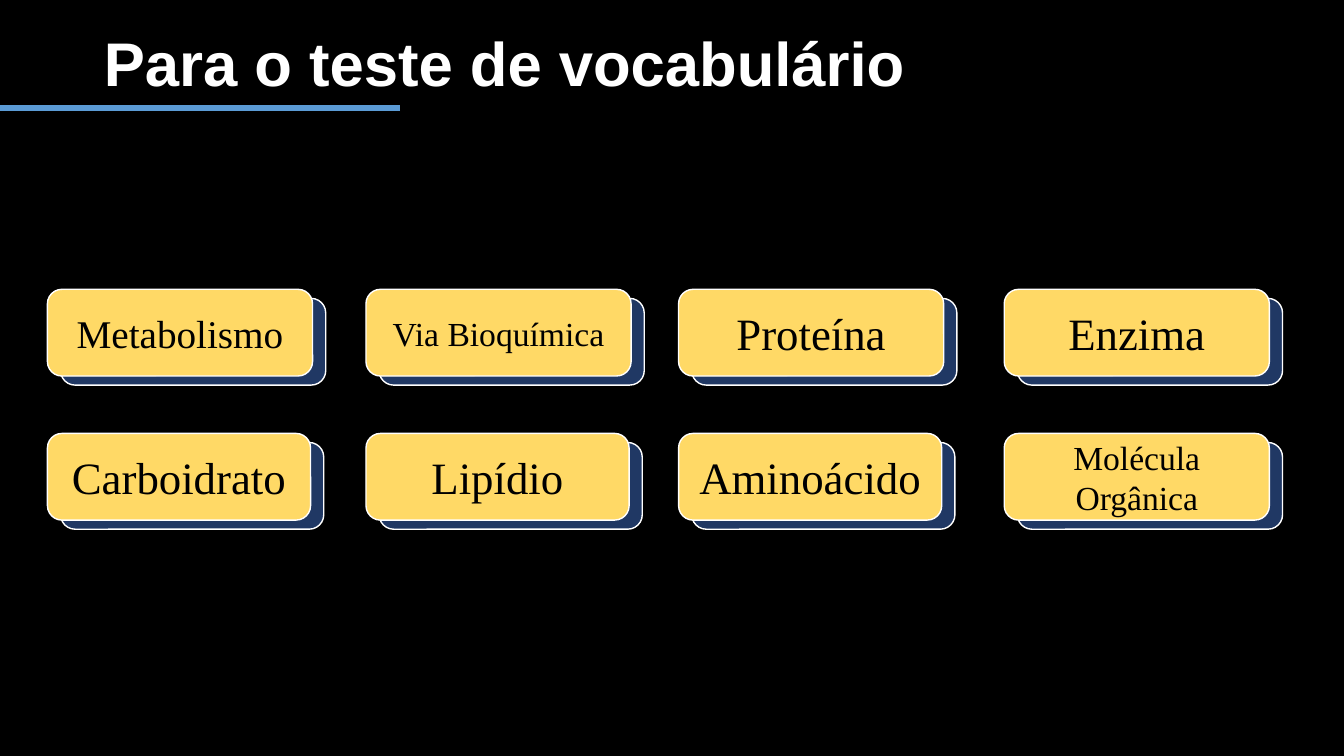
from pptx import Presentation, util as u
from pptx.dml.color import RGBColor
from pptx.enum import shapes, text
from pptx.oxml.ns import qn

BLACK = RGBColor(0x00, 0x00, 0x00)
WHITE = RGBColor(0xFF, 0xFF, 0xFF)
BLUE = RGBColor(0x5B, 0x9B, 0xD5)
NAVY = RGBColor(0x20, 0x38, 0x64)
YELLOW = RGBColor(0xFF, 0xD9, 0x66)

# Lengths are percentages of the slide's width (x) and height (y).
COLUMNS = (3.53, 27.23, 50.49, 74.72)
ROWS = (38.27, 57.33)
WIDE, NARROW, CARD_HEIGHT = 19.73, 19.58, 11.47
BACK_DX, BACK_DY = 0.98, 1.2

# Each card: word, font size, width
WORDS = (
    (("Metabolismo", 28, WIDE), ("Via Bioquímica", 24, WIDE),
     ("Proteína", 32, WIDE), ("Enzima", 32, WIDE)),
    (("Carboidrato", 32, NARROW), ("Lipídio", 32, NARROW),
     ("Aminoácido", 32, NARROW), ("Molécula Orgânica", 24, WIDE)),
)


class VocabularySlide:
    def __init__(self, prs):
        self.width, self.height = prs.slide_width, prs.slide_height
        self.slide = prs.slides.add_slide(prs.slide_layouts[6])
        fill = self.slide.background.fill
        fill.solid()
        fill.fore_color.rgb = BLACK

    def x(self, share):
        return u.Emu(round(self.width * share / 100))

    def y(self, share):
        return u.Emu(round(self.height * share / 100))

    def box(self, left, top, width, height):
        return self.x(left), self.y(top), self.x(width), self.y(height)

    def set_words(self, tf, words, font, size, color, bold=False):
        tf.text = words
        tf.word_wrap = True
        tf.vertical_anchor = text.MSO_ANCHOR.MIDDLE
        p = tf.paragraphs[0]
        r = p.runs[0]
        r.font.name, r.font.size, r.font.bold = font, u.Pt(size), bold
        r.font.color.rgb = color
        return p

    def title(self, words, *box):
        tf = self.slide.shapes.add_textbox(*self.box(*box)).text_frame
        tf.margin_left = tf.margin_top = tf.margin_right = tf.margin_bottom = 0
        p = self.set_words(tf, words, "Arial", 44, WHITE, bold=True)
        p.line_spacing = 0.9

    def rule(self, left, right, top):
        line = self.slide.shapes.add_connector(
            shapes.MSO_CONNECTOR.STRAIGHT,
            self.x(right), self.y(top), self.x(left), self.y(top))
        line.line.color.rgb = BLUE
        line.line.width = u.Pt(4.5)
        properties = line._element.spPr
        properties.append(properties.makeelement(qn("a:effectLst"), {}))

    def plate(self, left, top, width, color):
        sp = self.slide.shapes.add_shape(
            shapes.MSO_SHAPE.ROUNDED_RECTANGLE,
            *self.box(left, top, width, CARD_HEIGHT))
        sp.shadow.inherit = False
        sp.fill.solid()
        sp.fill.fore_color.rgb = color
        sp.line.color.rgb = WHITE
        sp.line.width = u.Pt(1)
        return sp

    def card(self, left, top, word, size, width):
        """Draw a yellow word plate over an offset navy plate."""
        self.plate(left + BACK_DX, top + BACK_DY, width, NAVY)
        sp = self.plate(left, top, width, YELLOW)
        p = self.set_words(sp.text_frame, word, "Times New Roman", size, BLACK)
        p.alignment = text.PP_ALIGN.CENTER


def main():
    prs = Presentation()
    prs.slide_width, prs.slide_height = u.Inches(13.33), u.Inches(7.5)
    s = VocabularySlide(prs)
    s.title("Para o teste de vocabulário", 7.73, -0.13, 60.39, 17.87)
    s.rule(0, 29.78, 14.27)
    for top, words in zip(ROWS, WORDS):
        for left, card in zip(COLUMNS, words):
            s.card(left, top, *card)
    prs.save("out.pptx")


if __name__ == "__main__":
    main()
